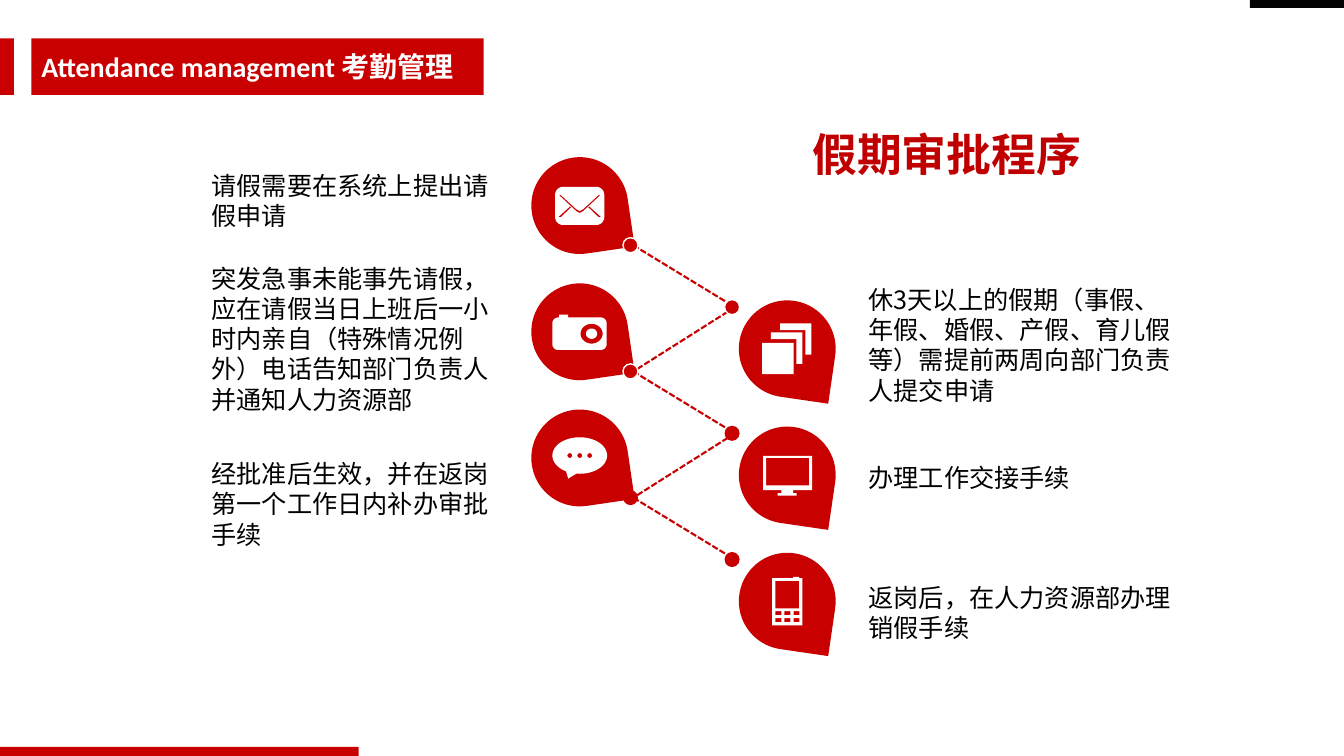
import math
from dataclasses import dataclass

from lxml import etree
from pptx import Presentation, util as u
from pptx.dml.color import RGBColor
from pptx.enum import dml, shapes, text
from pptx.oxml.ns import qn
from pptx.util import Cm, Pt

Point = tuple[float, float]
Contour = list[Point]


@dataclass(frozen=True)
class Theme:
    red: str = "C90000"
    heading: str = "C00000"
    black: str = "000000"
    edge: str = "040404"
    white: str = "FFFFFF"
    latin: str = "Calibri"
    cjk: str = "Noto Sans CJK SC"
    title_size: float = 20
    heading_size: float = 32
    body_size: float = 18
    body_leading: float = 21.6


@dataclass(frozen=True)
class Bar:
    left: float
    top: float
    width: float
    height: float
    color: str


@dataclass(frozen=True)
class Step:
    words: str
    left: float
    top: float
    width: float
    height: float


@dataclass(frozen=True)
class Column:
    """Three badges on one side, with the dots of the zigzag beside them."""
    badge_x: float
    badge_y: float
    turn: float
    dot_x: float
    dot_y: float
    outlined_dots: int
    icons: list[list[Contour]]


THEME = Theme()
PITCH = 3.18
BADGE = 2.44
DOT = 0.38


def box(x: float, y: float, w: float, h: float) -> Contour:
    return [(x, y), (x + w, y), (x + w, y + h), (x, y + h)]


def arc(x: float, y: float, rx: float, ry: float,
        start: float = 0, sweep: float = 360, steps: int = 48) -> Contour:
    angles = [math.radians(start + sweep * i / steps) for i in range(steps + 1)]
    return [(x + rx * math.cos(a), y + ry * math.sin(a)) for a in angles]


def round_box(x: float, y: float, w: float, h: float, r: float) -> Contour:
    corners = [(x + w - r, y + h - r), (x + r, y + h - r), (x + r, y + r), (x + w - r, y + r)]
    return [p for i, (cx, cy) in enumerate(corners) for p in arc(cx, cy, r, r, 90 * i, 90, 8)]


def mirrored(contour: Contour) -> Contour:
    return [(-x, y) for x, y in contour]


def page_edge(x: float, y: float) -> Contour:
    """The visible top and right edge of a page lying behind another."""
    side, right, top = 0.79, 0.64, 0.17
    return [(x, y), (x + side, y), (x + side, y + side), (x + right, y + side),
            (x + right, y + top), (x, y + top)]


# Icon contours are in centimetres from the badge centre; inner contours are holes.
flap_half = [(-0.52, -0.26), (-0.09, 0.14), (0, 0.19)]
flap_inner = [(0, 0.14), (-0.09, 0.09), (-0.47, -0.26)]
flap = (flap_half + mirrored(flap_half[1::-1]) + mirrored(flap_inner[:0:-1]) + flap_inner)
fold = [(0.24, 0.02), (0.21, 0.04), (0.47, 0.29), (0.54, 0.29)]
ENVELOPE = [round_box(-0.62, -0.47, 1.24, 0.96, 0.2), flap, fold, mirrored(fold)]
CAMERA = [round_box(-0.69, -0.36, 1.37, 0.82, 0.15), arc(0.3, 0.05, 0.28, 0.25),
          arc(0.3, 0.05, 0.14, 0.13), box(-0.52, -0.43, 0.23, 0.07)]
BUBBLE = [arc(0, -0.06, 0.69, 0.46, 120, 337) + [(-0.29, 0.52)],
          *(arc(x, -0.06, 0.06, 0.06) for x in (-0.25, 0, 0.25))]
PAGES = [box(-0.63, -0.15, 0.79, 0.79), page_edge(-0.41, -0.41), page_edge(-0.18, -0.64)]
MONITOR = [box(-0.61, -0.48, 1.24, 0.86), box(-0.53, -0.43, 1.08, 0.69),
           box(-0.15, 0.38, 0.3, 0.08), box(-0.24, 0.46, 0.48, 0.06)]
PHONE = [box(-0.38, -0.58, 0.76, 1.19), box(-0.3, -0.51, 0.6, 0.69),
         box(0.15, -0.61, 0.15, 0.03),
         *(box(-0.3 + 0.23 * i, 0.25 + 0.18 * j, 0.15, 0.1)
           for i in range(3) for j in range(2))]

LEFT = Column(14.61, 5.18, 81.7, 15.89, 6.18, 2, [ENVELOPE, CAMERA, BUBBLE])
RIGHT = Column(19.84, 8.79, 98.3, 18.45, 7.74, 1, [PAGES, MONITOR, PHONE])

BARS = [
    Bar(-0.03, 18.82, 9.07, 0.25, THEME.red),
    Bar(31.5, 0, 2.37, 0.2, THEME.edge),
    Bar(-0.03, 0.97, 0.38, 1.42, THEME.red),
]

STEPS = [
    Step("请假需要在系统上提出请假申请", 5.08, 4.17, 7.52, 1.83),
    Step("突发急事未能事先请假，应在请假当日上班后一小时内亲自（特殊情况例外）"
         "电话告知部门负责人并通知人力资源部", 5.08, 6.5, 7.52, 4.17),
    Step("经批准后生效，并在返岗第一个工作日内补办审批手续", 5.08, 11.43, 8.08, 2.62),
    Step("休3天以上的假期（事假、年假、婚假、产假、育儿假等）"
         "需提前两周向部门负责人提交申请", 21.64, 7.04, 8.33, 3.4),
    Step("办理工作交接手续", 21.64, 11.53, 9.4, 0.99),
    Step("返岗后，在人力资源部办理销假手续", 21.64, 14.55, 8.33, 1.83),
]


def paint(shape, color: str, outline: str | None = None) -> None:
    shape.shadow.inherit = False
    shape.fill.solid()
    shape.fill.fore_color.rgb = RGBColor.from_string(color)
    if outline:
        shape.line.color.rgb = RGBColor.from_string(outline)
        shape.line.width = Pt(1)
    else:
        shape.line.fill.background()


def set_type(paragraph, size: float, color: str, latin: str, bold: bool = False) -> None:
    font = paragraph.font
    font.size, font.bold, font.name = Pt(size), bold, latin
    font.color.rgb = RGBColor.from_string(color)
    defaults = paragraph._p.pPr.find(qn("a:defRPr"))
    etree.SubElement(defaults, qn("a:ea"), typeface=THEME.cjk)


def add_preset(slide, kind, left: float, top: float, width: float, height: float,
               color: str, outline: str | None = None):
    shape = slide.shapes.add_shape(kind, Cm(left), Cm(top), Cm(width), Cm(height))
    paint(shape, color, outline)
    return shape


def add_words(slide, words: str, left: float, top: float, width: float, height: float):
    frame = slide.shapes.add_textbox(Cm(left), Cm(top), Cm(width), Cm(height)).text_frame
    frame.word_wrap = True
    frame.text = words
    return frame.paragraphs[0]


def add_icon(slide, x: float, y: float, contours: list[Contour]) -> None:
    placed = [[(Cm(x + px), Cm(y + py)) for px, py in contour] for contour in contours]
    builder = slide.shapes.build_freeform(*placed[0][0])
    for i, contour in enumerate(placed):
        if i:
            builder.move_to(*contour[0])
        builder.add_line_segments(contour[1:], close=True)
    paint(builder.convert_to_shape(), THEME.white)


def add_badges(slide, column: Column) -> None:
    for i, icon in enumerate(column.icons):
        y = column.badge_y + PITCH * i
        drop = add_preset(slide, shapes.MSO_SHAPE.TEAR, column.badge_x - BADGE / 2,
                          y - BADGE / 2, BADGE, BADGE, THEME.red)
        drop.rotation = column.turn
        add_icon(slide, column.badge_x, y, icon)


def add_dots(slide, column: Column) -> None:
    for i in range(len(column.icons)):
        add_preset(slide, shapes.MSO_SHAPE.OVAL, column.dot_x - DOT / 2,
                   column.dot_y + PITCH * i - DOT / 2, DOT, DOT, THEME.red,
                   THEME.white if i < column.outlined_dots else None)


def add_dashes(slide, start: Point, end: Point) -> None:
    link = slide.shapes.add_connector(shapes.MSO_CONNECTOR.STRAIGHT,
                                      *(Cm(v) for v in (*start, *end)))
    link.line.color.rgb = RGBColor.from_string(THEME.red)
    link.line.width = Pt(1.5)
    link.line.dash_style = dml.MSO_LINE.SQUARE_DOT
    etree.SubElement(link._element.spPr, qn("a:effectLst"))


def add_zigzag(slide) -> None:
    stops = [(column.dot_x + 0.07, column.dot_y + PITCH * i)
             for i in range(3) for column in (LEFT, RIGHT)]
    for start, end in zip(stops, stops[1:]):
        add_dashes(slide, start, end)


def set_title(slide) -> None:
    title = slide.shapes.title
    title.left, title.top, title.width, title.height = Cm(0.79), Cm(0.97), Cm(11.4), Cm(1.42)
    title.fill.solid()
    title.fill.fore_color.rgb = RGBColor.from_string(THEME.red)
    frame = title.text_frame
    frame.text = "Attendance management 考勤管理"
    frame.auto_size = text.MSO_AUTO_SIZE.NONE
    frame.vertical_anchor = text.MSO_ANCHOR.MIDDLE
    frame.paragraphs[0].alignment = text.PP_ALIGN.LEFT
    set_type(frame.paragraphs[0], THEME.title_size, THEME.white, THEME.latin, bold=True)


def main() -> None:
    deck = Presentation()
    deck.slide_width, deck.slide_height = u.Cm(33.87), u.Cm(19.05)
    slide = deck.slides.add_slide(deck.slide_layouts[5])
    set_title(slide)
    for bar in BARS:
        add_preset(slide, shapes.MSO_SHAPE.RECTANGLE, bar.left, bar.top,
                   bar.width, bar.height, bar.color)
    for column in (LEFT, RIGHT):
        add_badges(slide, column)
    add_zigzag(slide)
    for column in (LEFT, RIGHT):
        add_dots(slide, column)
    heading = add_words(slide, "假期审批程序", 20.22, 2.39, 10.13, 2.31)
    heading.line_spacing = 1.5
    heading.alignment = text.PP_ALIGN.JUSTIFY
    set_type(heading, THEME.heading_size, THEME.heading, THEME.cjk, bold=True)
    for step in STEPS:
        body = add_words(slide, step.words, step.left, step.top, step.width, step.height)
        body.line_spacing = Pt(THEME.body_leading)
        set_type(body, THEME.body_size, THEME.black, THEME.cjk)
    deck.save("out.pptx")


if __name__ == "__main__":
    main()
